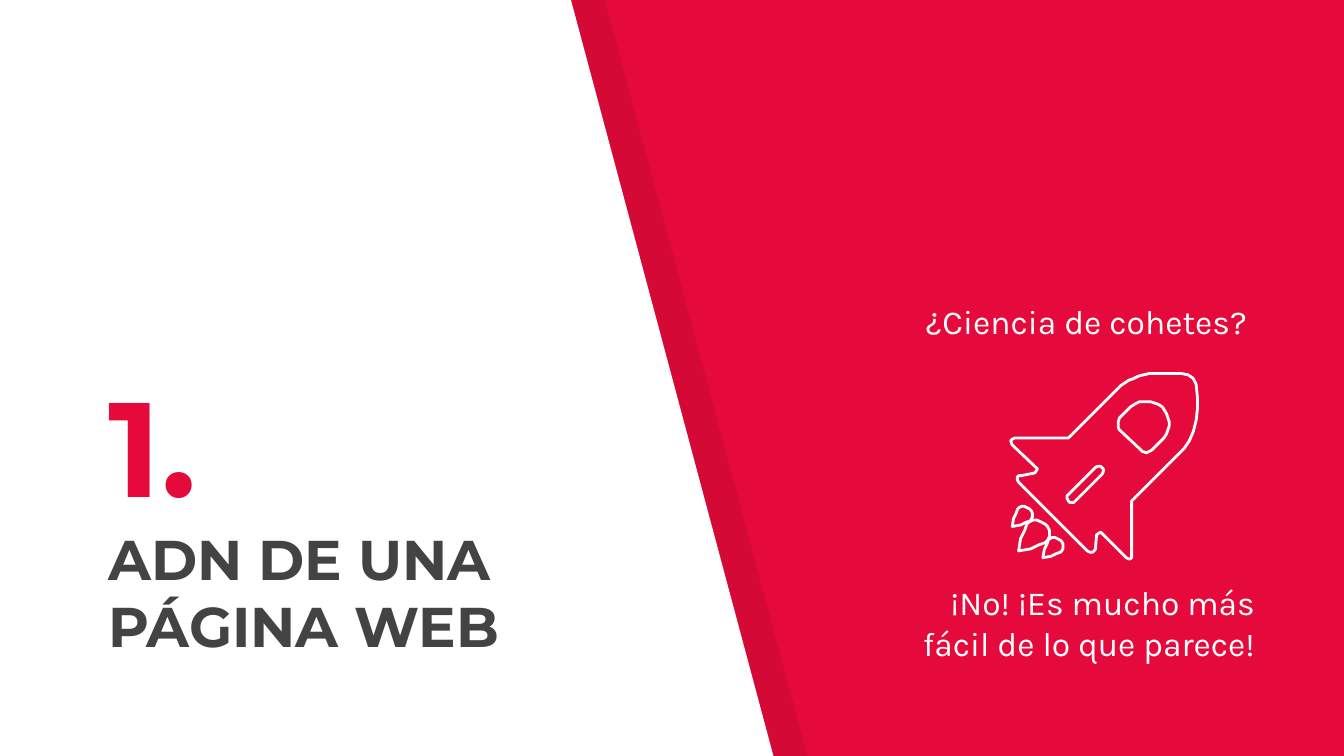
from lxml.etree import SubElement
from pptx import Presentation
from pptx.dml.color import RGBColor
from pptx.enum.text import MSO_ANCHOR, PP_ALIGN
from pptx.oxml.ns import qn
from pptx.util import Cm, Pt

RED = RGBColor(0xE5, 0x0A, 0x3B)
WHITE = RGBColor(0xFF, 0xFF, 0xFF)
BLACK = RGBColor(0x00, 0x00, 0x00)
GRAY = RGBColor(0x43, 0x43, 0x43)

UNIT = Cm(2.54) / 100  # outlines are drawn in hundredths of an inch

PANEL = [(1, 0), (0, 565), (577, 565), (426, 1)]
ROCKET_BODY = [
    (90, 135), (90, 95), (129, 56), (131, 53), (133, 50), (136, 43), (138, 35),
    (139, 26), (139, 18), (138, 8), (137, 6), (136, 4), (135, 3), (132, 1),
    (127, 0), (112, 0), (103, 0), (99, 1), (95, 2), (91, 4), (88, 5), (85, 7),
    (82, 9), (43, 48), (3, 48), (1, 49), (0, 50), (1, 53), (20, 71), (18, 74),
    (8, 76), (6, 76), (5, 77), (5, 79), (6, 81), (57, 132), (59, 133),
    (61, 133), (62, 132), (63, 131), (64, 120), (67, 118), (86, 137),
    (88, 138), (89, 138), (90, 137),
]
ROCKET_SLOT = [
    (48, 95), (47, 96), (44, 96), (43, 95), (42, 93), (42, 91), (43, 90),
    (63, 70), (65, 69), (67, 69), (69, 71), (69, 73), (68, 75),
]
ROCKET_WINDOW = [
    (105, 57), (103, 58), (101, 59), (98, 58), (97, 57), (81, 42), (80, 40),
    (80, 36), (81, 33), (89, 25), (92, 23), (96, 21), (99, 21), (104, 21),
    (107, 22), (110, 23), (113, 25), (116, 30), (118, 36), (118, 39),
    (117, 42), (116, 45), (114, 48), (113, 49),
]
FLAME = [
    (13, 2), (11, 1), (9, 0), (7, 0), (5, 1), (4, 2), (3, 5), (1, 9), (0, 15),
    (6, 14), (10, 12), (13, 11), (14, 10), (15, 8), (15, 5), (14, 3),
]
# left and top inside the rocket box, then size relative to FLAME
FLAMES = [(Cm(0.15), Cm(2.77), 1.53), (Cm(0.61), Cm(3.1), 1), (Cm(0.03), Cm(2.51), 1)]


def add_outline(shapes, contours, left, top, size=1):
    """Draw closed contours as one freeform, with its origin at left, top."""
    builder = shapes.build_freeform(*contours[0][0], scale=UNIT * size)
    for number, contour in enumerate(contours):
        if number:
            builder.move_to(*contour[0])
        builder.add_line_segments(contour[1:], close=True)
    shape = builder.convert_to_shape(left, top)
    shape.shadow.inherit = False
    return shape


def add_panel(slide, left, top, color, alpha=None):
    """Add the slanted panel, with alpha in percent when it is see-through."""
    panel = add_outline(slide.shapes, [PANEL], left, top)
    panel.fill.solid()
    panel.fill.fore_color.rgb = color
    panel.line.fill.background()
    if alpha is not None:
        color_element = panel._element.spPr.find(qn("a:solidFill"))[0]
        SubElement(color_element, qn("a:alpha")).set("val", str(alpha * 1000))


def add_rocket(slide, left, top):
    """Add the rocket icon as a group of white outlines."""
    shapes = slide.shapes.add_group_shape().shapes
    parts = [add_outline(shapes, [ROCKET_BODY, ROCKET_SLOT, ROCKET_WINDOW], left, top)]
    for flame_left, flame_top, size in FLAMES:
        parts.append(add_outline(shapes, [FLAME], left + flame_left, top + flame_top, size))
    for part in parts:
        part.fill.background()
        part.line.color.rgb = WHITE
        part.line.width = Pt(1.5)
        SubElement(part.line._get_or_add_ln(), qn("a:round"))


def add_text(slide, left, top, width, height, lines, font_name, align):
    """Add bottom-anchored text; lines hold text, size, color, bold, space before."""
    frame = slide.shapes.add_textbox(left, top, width, height).text_frame
    frame.word_wrap = True
    frame.vertical_anchor = MSO_ANCHOR.BOTTOM
    frame.margin_left = frame.margin_right = Cm(0.25)
    frame.margin_top = frame.margin_bottom = Cm(0.25)
    for number, (text, size, color, bold, space) in enumerate(lines):
        paragraph = frame.add_paragraph() if number else frame.paragraphs[0]
        paragraph.text = text
        paragraph.alignment = align
        paragraph.space_before = Pt(space)
        paragraph.font.name = font_name
        paragraph.font.size = Pt(size)
        paragraph.font.bold = bold
        paragraph.font.color.rgb = color


def add_section_slide(presentation):
    """Add the section opener: title on the white panel, rocket on the red side."""
    slide = presentation.slides.add_slide(presentation.slide_layouts[6])
    slide.background.fill.solid()
    slide.background.fill.fore_color.rgb = RED
    add_panel(slide, Cm(0.61), Cm(-0.03), BLACK, alpha=7)
    add_panel(slide, Cm(-0.03), Cm(-0.03), WHITE)
    add_text(
        slide, Cm(1.8), Cm(4.39), Cm(9.78), Cm(8.31),
        [("1.", 72, RED, True, 0), ("ADN DE UNA PÁGINA WEB", 30, GRAY, True, 0)],
        "Montserrat", PP_ALIGN.LEFT,
    )
    add_text(
        slide, Cm(16.76), Cm(5.5), Cm(7.21), Cm(7.28),
        [("¿Ciencia de cohetes? ", 18, WHITE, False, 0),
         ("¡No! ¡Es mucho más fácil de lo que parece!", 18, WHITE, False, 129)],
        "Karla", PP_ALIGN.RIGHT,
    )
    add_rocket(slide, Cm(19.1), Cm(7.06))


presentation = Presentation()
presentation.slide_width = Cm(25.4)
presentation.slide_height = Cm(14.29)
add_section_slide(presentation)
presentation.save("out.pptx")
